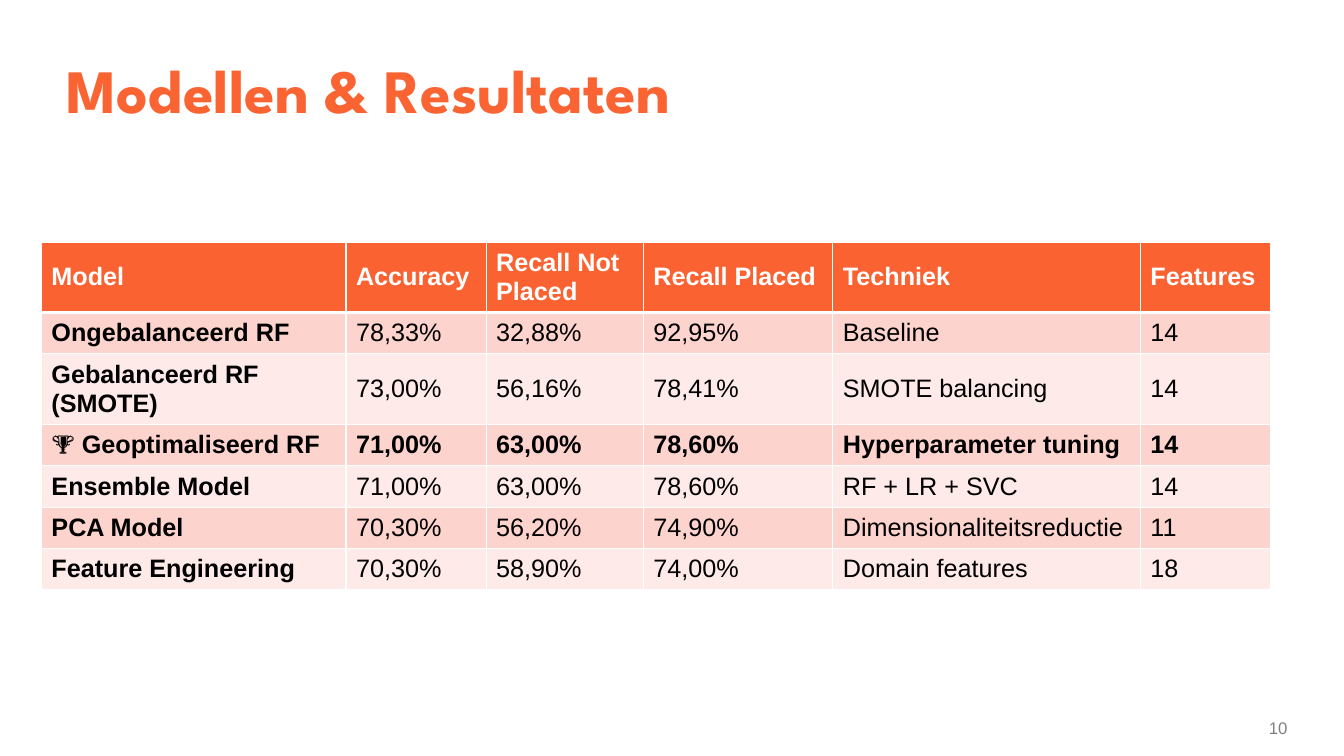
import dataclasses
import typing

import lxml.etree
import pptx
import pptx.dml.color
import pptx.enum.text
import pptx.oxml.ns
import pptx.util

WIDE = pptx.util.Inches(13.33)
HIGH = pptx.util.Inches(7.5)
ALIGN = pptx.enum.text.PP_ALIGN
FIT = pptx.enum.text.MSO_AUTO_SIZE
MID = pptx.enum.text.MSO_ANCHOR.MIDDLE


@dataclasses.dataclass
class Area:
    """Place and size as percentages of the slide's width and height."""
    left: float
    top: float
    width: float
    height: float

    def box(self) -> tuple[int, int, int, int]:
        return (across(self.left), down(self.top),
                across(self.width), down(self.height))


@dataclasses.dataclass
class Model:
    name: str
    values: tuple[str, ...]
    best: bool = False


HEADS = ("Model", "Accuracy", "Recall Not Placed", "Recall Placed",
         "Techniek", "Features")
COLUMNS = (22.66, 10.43, 11.7, 14.1, 22.88, 9.68)
ROW = 5.47
MODELS = (
    Model("Ongebalanceerd RF",
          ("78,33%", "32,88%", "92,95%", "Baseline", "14")),
    Model("Gebalanceerd RF (SMOTE)",
          ("73,00%", "56,16%", "78,41%", "SMOTE balancing", "14")),
    Model("🏆 Geoptimaliseerd RF",
          ("71,00%", "63,00%", "78,60%", "Hyperparameter tuning", "14"), True),
    Model("Ensemble Model",
          ("71,00%", "63,00%", "78,60%", "RF + LR + SVC", "14")),
    Model("PCA Model",
          ("70,30%", "56,20%", "74,90%", "Dimensionaliteitsreductie", "11")),
    Model("Feature Engineering",
          ("70,30%", "58,90%", "74,00%", "Domain features", "18")),
)


def across(share: float) -> int:
    return round(WIDE * share / 100)


def down(share: float) -> int:
    return round(HIGH * share / 100)


def color(code: str) -> pptx.dml.color.RGBColor:
    return pptx.dml.color.RGBColor.from_string(code)


def write(frame: typing.Any, text: str, *, size: float = 18, ink: str = "000000",
          face: str = "Arial", bold: bool = False, align: ALIGN = ALIGN.LEFT,
          space: float = 1.0) -> None:
    line = frame.paragraphs[0]
    line.alignment = align
    line.line_spacing = space
    run = line.add_run()
    run.text = text
    run.font.size = pptx.util.Pt(size)
    run.font.name = face
    run.font.bold = bold
    run.font.color.rgb = color(ink)


def edge(cell: typing.Any, base: float) -> None:
    """Draw white borders, with the lower one as thick as base points."""
    props = cell._tc.get_or_add_tcPr()
    for tag, width in (("lnL", 1), ("lnR", 1), ("lnT", 1), ("lnB", base)):
        line = lxml.etree.SubElement(props, pptx.oxml.ns.qn(f"a:{tag}"),
                                     w=str(pptx.util.Pt(width)))
        fill = lxml.etree.SubElement(line, pptx.oxml.ns.qn("a:solidFill"))
        lxml.etree.SubElement(fill, pptx.oxml.ns.qn("a:srgbClr"), val="FFFFFF")


def paint(cell: typing.Any, text: str, fill: str, base: float = 1,
          **form: typing.Any) -> None:
    edge(cell, base)
    cell.fill.solid()
    cell.fill.fore_color.rgb = color(fill)
    cell.vertical_anchor = MID
    write(cell.text_frame, text, **form)


def add_title(slide: typing.Any, area: Area) -> None:
    title = slide.shapes.title
    title.left, title.top, title.width, title.height = area.box()
    frame = title.text_frame
    frame.auto_size = FIT.NONE
    frame.vertical_anchor = MID
    write(frame, "Modellen & Resultaten", size=44, ink="FA6432",
          face="League Spartan", bold=True, space=0.85)


def add_number(slide: typing.Any, area: Area) -> None:
    frame = slide.shapes.add_textbox(*area.box()).text_frame
    frame.word_wrap = True
    frame.vertical_anchor = MID
    frame.margin_right = 0
    write(frame, "10", size=12, ink="808080", align=ALIGN.RIGHT)


def add_models(slide: typing.Any, left: float, top: float) -> None:
    count = len(MODELS) + 1
    area = Area(left, top, sum(COLUMNS), ROW * count)
    table = slide.shapes.add_table(count, len(HEADS), *area.box()).table
    for column, share in zip(table.columns, COLUMNS):
        column.width = across(share)

    # Header row
    for col, head in enumerate(HEADS):
        paint(table.cell(0, col), head, "FA6232", 3, ink="FFFFFF", bold=True)

    # One banded row per model
    for row, model in enumerate(MODELS, 1):
        fill = "FDD3CE" if row % 2 else "FEEAE8"
        for col, text in enumerate((model.name, *model.values)):
            paint(table.cell(row, col), text, fill,
                  bold=model.best or col == 0)


def main() -> None:
    deck = pptx.Presentation()
    deck.slide_width, deck.slide_height = WIDE, HIGH
    slide = deck.slides.add_slide(deck.slide_layouts[5])
    add_number(slide, Area(90.77, 94.27, 5.03, 4))
    add_title(slide, Area(4.2, 4.4, 91.52, 16.27))
    add_models(slide, 3.08, 32)
    deck.save("out.pptx")


if __name__ == "__main__":
    main()
